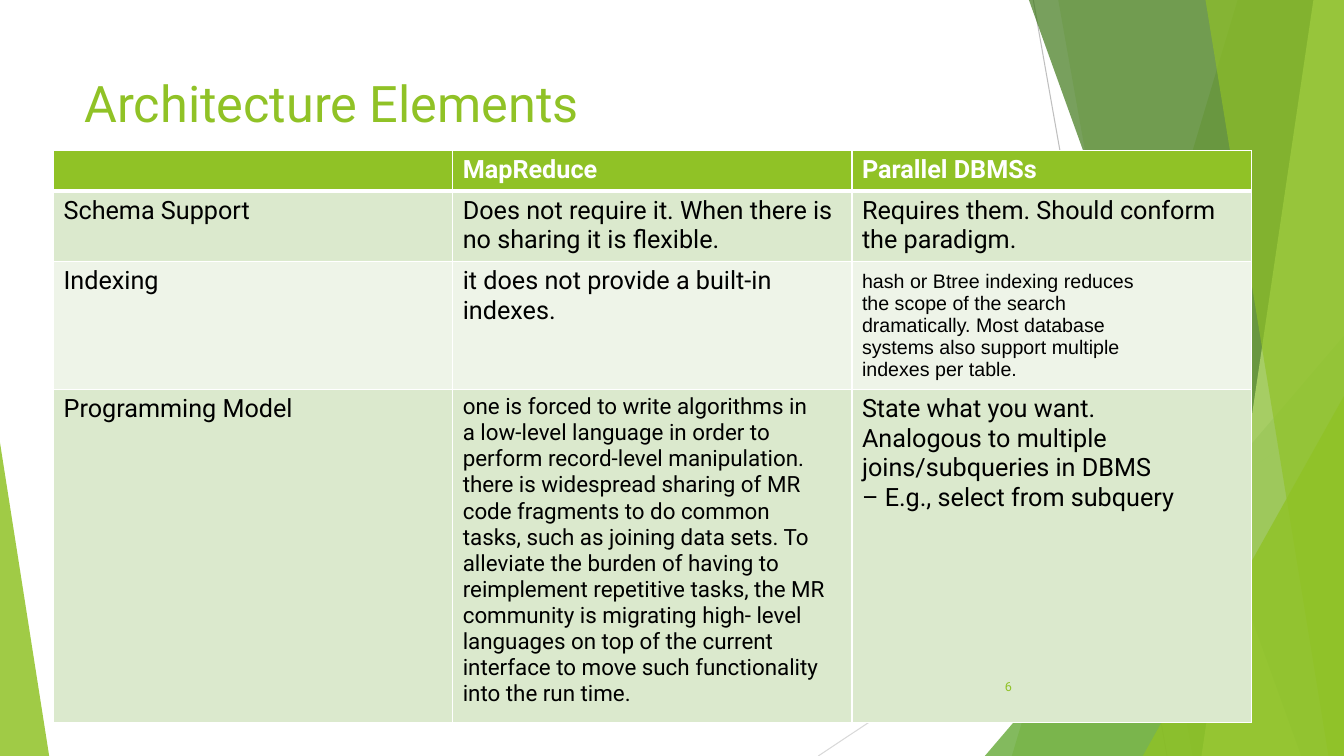
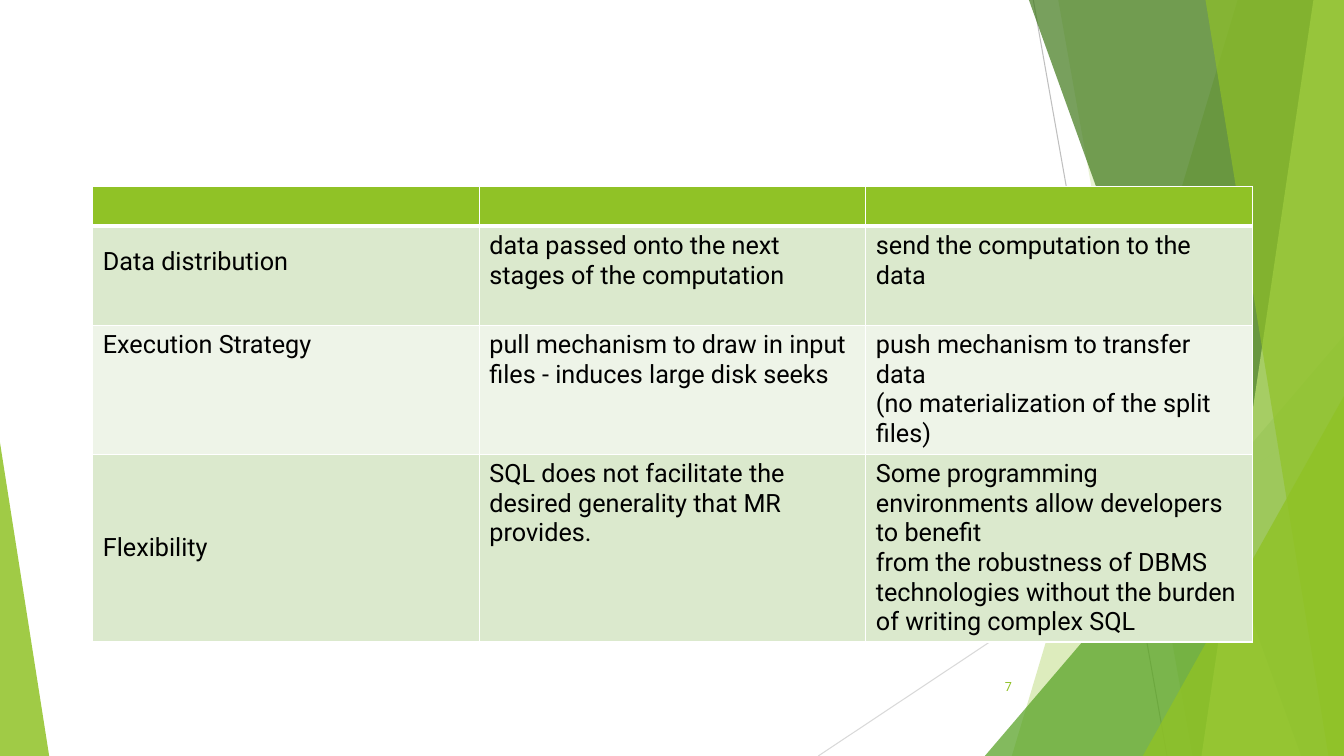
"""Build two slides comparing MapReduce with parallel DBMSs."""
from lxml import etree
from pptx import Presentation, util as u
from pptx.dml.color import RGBColor
from pptx.enum import shapes, text
from pptx.oxml.ns import qn

HUE = {"lime": "90C226", "leaf": "54A021", "moss": "3F7819", "lemon": "C0E474",
       "mint": "DBE9CD", "pale": "EEF4E8", "white": "FFFFFF", "black": "000000",
       "grey": "BFBFBF", "mist": "D9D9D9"}
WIDE, HIGH = 33.87, 19.05
MID = text.MSO_ANCHOR.MIDDLE

LINES = [("grey", 26.04, 0, 29.41, HIGH), ("mist", WIDE, 10.24, 20.62, HIGH)]
# fmt: off
DECOR = [
    ("lime", 30, "band", (31.19, 25.5)),
    ("lime", 20, "band", (26.67, 30.05)),
    ("leaf", 72, "peak", (24.82, 8.46, 9.05, 1)),
    ("moss", 70, "band", (25.93, 32.79)),
    ("lemon", 70, "band", (33.1, 30.28)),
    ("lime", 65, "band", (30.38, 33.48)),
    ("lime", 80, "peak", (28.8, 9.98, 5.07, 1)),
    ("lime", 85, "peak", (0, 11.15, 1.24, 0)),
]
# fmt: on
BODY = {"name": "Roboto", "size": u.Pt(18), "bold": False}
HEAD = {**BODY, "bold": True}
TITLE = {**BODY, "size": u.Pt(36)}
FOOT = {**BODY, "size": u.Pt(9)}

PAGES = [
    {"no": "6", "title": "Architecture Elements",
     "left": 1.35, "top": 3.79, "col": 10.06, "rows": [1, 1.75, 3.02, 8.41],
     "cells": [
         ["", "MapReduce", "Parallel DBMSs"],
         ["Schema Support",
          "Does not require it. When there is no sharing it is flexible.",
          "Requires them. Should conform the paradigm."],
         ["Indexing", "it does not provide a built-in indexes.",
          "hash or Btree indexing reduces\nthe scope of the search\n"
          "dramatically. Most database\nsystems also support multiple\n"
          "indexes per table."],
         ["Programming Model",
          "one is forced to write algorithms in\n"
          "a low-level language in order to\n"
          "perform record-level manipulation.\n"
          "there is widespread sharing of MR\n"
          "code fragments to do common\n"
          "tasks, such as joining data sets. To\n"
          "alleviate the burden of having to reimplement repetitive tasks, the MR\n"
          "community is migrating high- level\n"
          "languages on top of the current\n"
          "interface to move such functionality\n"
          "into the run time.",
          "State what you want.\n"
          "Analogous to multiple joins/subqueries in DBMS\n"
          "– E.g., select from subquery"]],
     "fonts": {(2, 2): {"name": "Arial", "size": u.Pt(14)},
               (3, 1): {"size": u.Pt(16)}},
     "place": {(2, 2): {"vertical_anchor": MID}}},
    {"no": "7", "title": "",
     "left": 2.34, "top": 4.7, "col": 9.74, "rows": [1, 2.5, 3.25, 4.72],
     "cells": [
         ["", "", ""],
         ["Data distribution",
          "data passed onto the next stages of the computation",
          "send the computation to the data"],
         ["Execution Strategy",
          "pull mechanism to draw in input\nfiles - induces large disk seeks",
          "push mechanism to transfer data\n"
          "(no materialization of the split\nfiles)"],
         ["Flexibility",
          "SQL does not facilitate the\ndesired generality that MR\nprovides.",
          "Some programming environments allow developers to benefit\n"
          "from the robustness of DBMS\ntechnologies without the burden\n"
          "of writing complex SQL"]],
     "fonts": {},
     "place": {(1, 0): {"vertical_anchor": MID, "margin_bottom": u.Cm(0.84)},
               (3, 0): {"vertical_anchor": MID}}},
]


def rgb(hue):
    return RGBColor.from_string(HUE[hue])


def write(frame, words, style, hue, align=text.PP_ALIGN.LEFT):
    frame.word_wrap = True
    for i, line in enumerate(words.split("\n")):
        para = frame.add_paragraph() if i else frame.paragraphs[0]
        para.text = line
        para.alignment = align
        for key, value in style.items():
            setattr(para.font, key, value)
        para.font.color.rgb = rgb(hue)


deck = Presentation()
deck.slide_width, deck.slide_height = u.Cm(WIDE), u.Cm(HIGH)

for page in PAGES:
    slide = deck.slides.add_slide(deck.slide_layouts[6])
    tree = slide.shapes

    for hue, *ends in LINES:
        line = tree.add_connector(shapes.MSO_CONNECTOR.STRAIGHT, *map(u.Cm, ends))
        line.line.color.rgb = rgb(hue)
        line.line.width = u.Pt(0.75)
        etree.SubElement(line._element.spPr, qn("a:effectLst"))

    for hue, alpha, kind, dims in DECOR:
        if kind == "band":
            top, foot = dims
            pen = tree.build_freeform(u.Cm(top), 0)
            pen.add_line_segments([(u.Cm(x), u.Cm(y)) for x, y in
                                   [(WIDE, 0), (WIDE, HIGH), (foot, HIGH)]])
            shape = pen.convert_to_shape()
        else:
            left, top, width, tip = dims
            shape = tree.add_shape(shapes.MSO_SHAPE.ISOSCELES_TRIANGLE,
                                   *map(u.Cm, (left, top, width, HIGH - top)))
            shape.adjustments[0] = tip
        shape.shadow.inherit = False
        shape.line.fill.background()
        shape.fill.solid()
        shape.fill.fore_color.rgb = rgb(hue)
        tint = shape._element.spPr.find(qn("a:solidFill"))[0]
        etree.SubElement(tint, qn("a:alpha"), val=str(alpha * 1000))

    if page["title"]:
        box = tree.add_textbox(*map(u.Cm, (1.88, 1.7, 23.88, 3.66)))
        write(box.text_frame, page["title"], TITLE, "lime")

    rows, cells = page["rows"], page["cells"]
    cols = len(cells[0])
    size = page["left"], page["top"], page["col"] * cols, sum(rows)
    table = tree.add_table(len(rows), cols, *map(u.Cm, size)).table
    for col in table.columns:
        col.width = u.Cm(page["col"])
    for r, high in enumerate(rows):
        table.rows[r].height = u.Cm(high)
        fill = ["lime", "mint", "pale", "mint"][r]
        for c, words in enumerate(cells[r]):
            cell = table.cell(r, c)
            for side in "LRTB":
                thick = (r, side) in [(0, "B"), (1, "T")]
                edge = etree.SubElement(cell._tc.get_or_add_tcPr(), qn("a:ln" + side),
                                        w=str(u.Pt(3 if thick else 1)))
                paint = etree.SubElement(edge, qn("a:solidFill"))
                etree.SubElement(paint, qn("a:srgbClr"), val=HUE["white"])
            cell.fill.solid()
            cell.fill.fore_color.rgb = rgb(fill)
            for key, value in page["place"].get((r, c), {}).items():
                setattr(cell, key, value)
            style = {**(BODY if r else HEAD), **page["fonts"].get((r, c), {})}
            write(cell.text_frame, words, style, "black" if r else "white")

    box = tree.add_textbox(*map(u.Cm, (23.85, 16.79, 1.9, 1.02)))
    box.text_frame.vertical_anchor = MID
    write(box.text_frame, page["no"], FOOT, "lime", text.PP_ALIGN.RIGHT)

deck.save("out.pptx")
